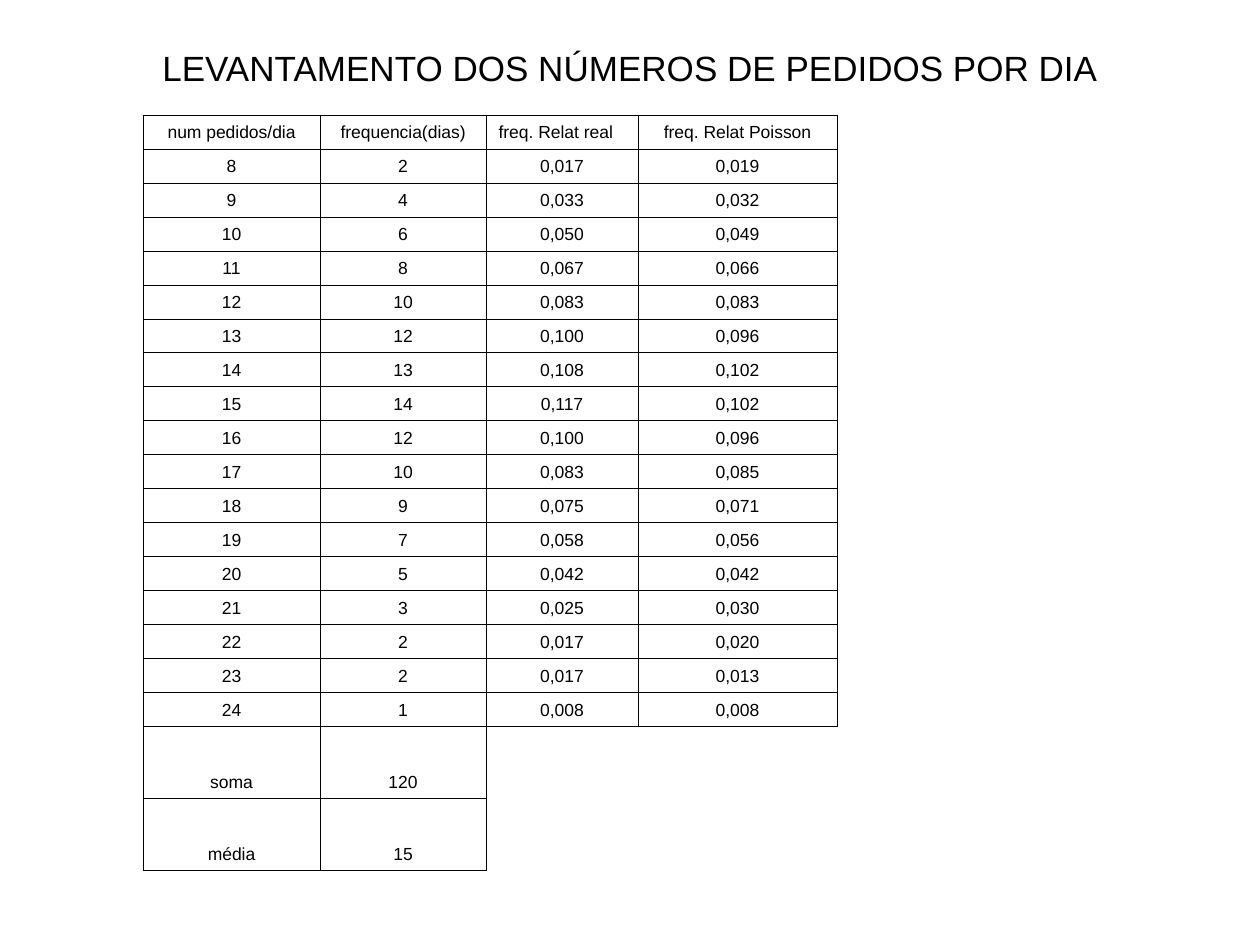
from dataclasses import dataclass

from lxml.etree import SubElement
from pptx import Presentation
from pptx.dml.color import RGBColor
from pptx.enum.text import MSO_ANCHOR, PP_ALIGN
from pptx.oxml.ns import qn
from pptx.slide import Slide
from pptx.table import Table, _Cell
from pptx.util import Emu, Pt

PX_PER_INCH = 126
BLACK = "000000"
BORDER_WIDTH = Pt(0.45)
HANGING_INDENT = 48

TITLE = "LEVANTAMENTO DOS NÚMEROS DE PEDIDOS POR DIA"
HEADERS = ["num pedidos/dia", "frequencia(dias)", "freq. Relat real", "freq. Relat Poisson"]
FIRST_ORDER_COUNT = 8
DAYS = [2, 4, 6, 8, 10, 12, 13, 14, 12, 10, 9, 7, 5, 3, 2, 2, 1]
REAL = ["0,017", "0,033", "0,050", "0,067", "0,083", "0,100", "0,108", "0,117", "0,100",
        "0,083", "0,075", "0,058", "0,042", "0,025", "0,017", "0,017", "0,008"]
POISSON = ["0,019", "0,032", "0,049", "0,066", "0,083", "0,096", "0,102", "0,102", "0,096",
           "0,085", "0,071", "0,056", "0,042", "0,030", "0,020", "0,013", "0,008"]
SUMMARY = [["soma", "120", "", ""], ["média", "15", "", ""]]


@dataclass
class Box:
    left: int
    top: int
    width: int
    height: int

    def emu(self) -> list[Emu]:
        return [px(value) for value in (self.left, self.top, self.width, self.height)]


@dataclass
class Side:
    tag: str
    row_step: int
    column_step: int


# Border sides, in the order the cell properties require
SIDES = [Side("a:lnL", 0, -1), Side("a:lnR", 0, 1), Side("a:lnT", -1, 0), Side("a:lnB", 1, 0)]

TITLE_BOX = Box(63, 38, 1134, 97)
COLUMN_WIDTHS = [177, 166, 152, 199]
ROW_HEIGHTS = [34] * (len(DAYS) + 1) + [72] * len(SUMMARY)
TABLE_BOX = Box(143, 115, sum(COLUMN_WIDTHS), sum(ROW_HEIGHTS))

TITLE_FORMAT = {"name": "Arial", "size": Pt(20)}
CELL_FORMAT = {"name": "Arial", "size": Pt(10)}


def px(value: int) -> Emu:
    return Emu(round(value * 914400 / PX_PER_INCH))


def color(hex_value: str) -> RGBColor:
    return RGBColor.from_string(hex_value)


def write(paragraph, text: str, font_format: dict, align=PP_ALIGN.CENTER) -> None:
    paragraph.alignment = align
    run = paragraph.add_run()
    run.text = text
    for attribute, value in font_format.items():
        setattr(run.font, attribute, value)
    run.font.color.rgb = color(BLACK)


def add_title(slide: Slide) -> None:
    frame = slide.shapes.add_textbox(*TITLE_BOX.emu()).text_frame
    frame.word_wrap = True
    frame.vertical_anchor = MSO_ANCHOR.TOP
    frame.margin_top = px(8)
    write(frame.paragraphs[0], TITLE, TITLE_FORMAT)


def is_filled(rows: list[list[str]], row: int, column: int) -> bool:
    inside = 0 <= row < len(rows) and 0 <= column < len(HEADERS)
    return inside and rows[row][column] != ""


def draw_borders(cell: _Cell, rows: list[list[str]], row: int, column: int) -> None:
    """Draw each side that touches a cell holding text."""
    properties = cell._tc.get_or_add_tcPr()
    for position, side in enumerate(SIDES):
        line = SubElement(properties, qn(side.tag), w=str(int(BORDER_WIDTH)))
        properties.insert(position, line)
        neighbour = (row + side.row_step, column + side.column_step)
        if is_filled(rows, row, column) or is_filled(rows, *neighbour):
            fill = SubElement(line, qn("a:solidFill"))
            SubElement(fill, qn("a:srgbClr"), val=BLACK)
        else:
            SubElement(line, qn("a:noFill"))


def fill_cell(cell: _Cell, text: str, align) -> None:
    cell.vertical_anchor = MSO_ANCHOR.BOTTOM
    paragraph = cell.text_frame.paragraphs[0]
    properties = paragraph._p.get_or_add_pPr()
    properties.set("marL", str(px(HANGING_INDENT)))
    properties.set("indent", str(-px(HANGING_INDENT)))
    write(paragraph, text, CELL_FORMAT, align)


def add_frequency_table(slide: Slide, rows: list[list[str]]) -> Table:
    table = slide.shapes.add_table(len(rows), len(HEADERS), *TABLE_BOX.emu()).table
    table.first_row = table.horz_banding = False
    for column, width in zip(table.columns, COLUMN_WIDTHS):
        column.width = px(width)
    for row, height in zip(table.rows, ROW_HEIGHTS):
        row.height = px(height)

    for row_index, values in enumerate(rows):
        for column_index, text in enumerate(values):
            cell = table.cell(row_index, column_index)
            cell.fill.background()
            draw_borders(cell, rows, row_index, column_index)
            if text:
                align = PP_ALIGN.LEFT if text == HEADERS[2] else PP_ALIGN.CENTER
                fill_cell(cell, text, align)
    return table


def main() -> None:
    presentation = Presentation()
    presentation.slide_width = px(1260)
    presentation.slide_height = px(945)
    slide = presentation.slides.add_slide(presentation.slide_layouts[6])

    # Heading
    add_title(slide)

    # Observed and Poisson frequencies, then the totals
    observations = [
        [str(orders), str(days), real, poisson]
        for orders, (days, real, poisson) in enumerate(zip(DAYS, REAL, POISSON), FIRST_ORDER_COUNT)
    ]
    add_frequency_table(slide, [HEADERS, *observations, *SUMMARY])

    presentation.save("out.pptx")


if __name__ == "__main__":
    main()
